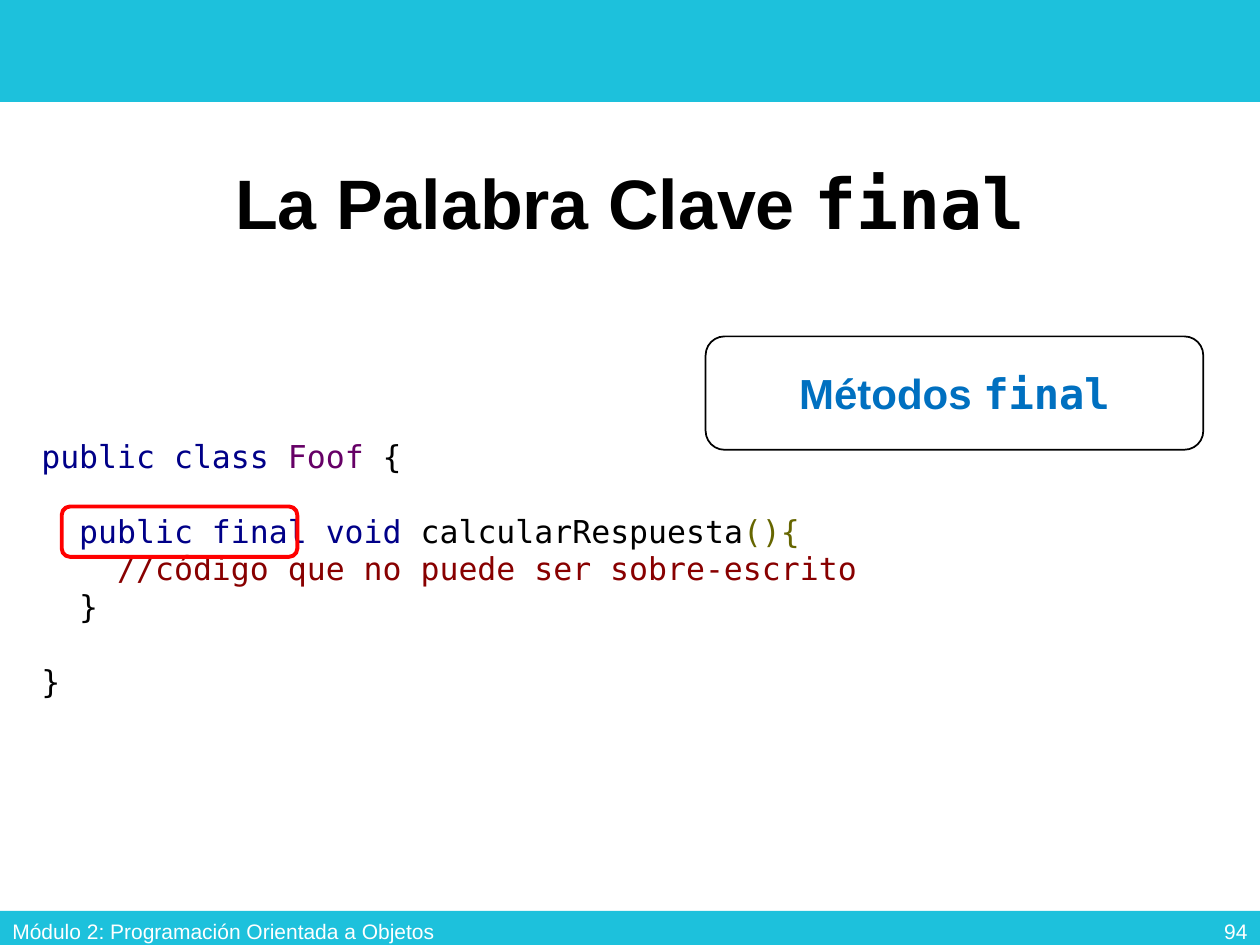
from dataclasses import dataclass

import pptx
import pptx.dml.color
import pptx.enum.shapes
import pptx.enum.text
import pptx.util

Inches = pptx.util.Inches
Pt = pptx.util.Pt
RGBColor = pptx.dml.color.RGBColor
Shapes = pptx.enum.shapes.MSO_SHAPE
Align = pptx.enum.text.PP_ALIGN
Anchor = pptx.enum.text.MSO_ANCHOR

CYAN = RGBColor(0x1D, 0xC1, 0xDC)
BLACK = RGBColor(0, 0, 0)
WHITE = RGBColor(0xFF, 0xFF, 0xFF)
RED = RGBColor(0xFF, 0, 0)
BLUE = RGBColor(0x00, 0x70, 0xC0)
KEYWORD = RGBColor(0, 0, 0x88)
TYPE_NAME = RGBColor(0x66, 0, 0x66)
BRACKET = RGBColor(0x66, 0x66, 0)
REMARK = RGBColor(0x88, 0, 0)

SANS = "Arial"
MONO = "DejaVu Sans Mono"
CODE_SIZE = 18
BLANK_LINE = 21


@dataclass(frozen=True)
class Area:
    left: float
    top: float
    width: float
    height: float

    def lengths(self) -> tuple:
        return tuple(Inches(n) for n in (self.left, self.top, self.width, self.height))


@dataclass(frozen=True)
class Span:
    text: str
    color: RGBColor = BLACK
    font: str = SANS


@dataclass(frozen=True)
class Line:
    spans: tuple
    before: float = 0


def code(text: str, color: RGBColor = BLACK) -> Span:
    return Span(text, color, MONO)


def write(box, lines, *, size, bold=False, align=Align.LEFT, anchor=Anchor.MIDDLE, spacing=1.0):
    frame = box.text_frame
    frame.word_wrap = True
    frame.auto_size = pptx.enum.text.MSO_AUTO_SIZE.NONE
    frame.vertical_anchor = anchor
    for index, line in enumerate(lines):
        para = frame.paragraphs[0] if index == 0 else frame.add_paragraph()
        para.alignment = align
        para.line_spacing = spacing
        para.space_before = Pt(line.before)
        for span in line.spans:
            run = para.add_run()
            run.text = span.text
            run.font.name = span.font
            run.font.size = Pt(size)
            run.font.bold = bold
            run.font.color.rgb = span.color


def add_bar(page, area: Area):
    bar = page.shapes.add_shape(Shapes.RECTANGLE, *area.lengths())
    bar.shadow.inherit = False
    bar.fill.solid()
    bar.fill.fore_color.rgb = CYAN
    bar.line.fill.background()


def add_frame(page, area: Area, color: RGBColor, width: float):
    frame = page.shapes.add_shape(Shapes.ROUNDED_RECTANGLE, *area.lengths())
    frame.shadow.inherit = False
    frame.fill.background()
    frame.line.color.rgb = color
    frame.line.width = Pt(width)
    return frame


def add_text(page, area: Area, lines, **options):
    write(page.shapes.add_textbox(*area.lengths()), lines, **options)


BARS = (Area(0, 0, 10, 0.81), Area(0, 7.23, 10, 0.31))

CODE_LINES = (
    Line((code("public class ", KEYWORD), code("Foof", TYPE_NAME), code(" {"))),
    Line(
        (
            code("  public final void", KEYWORD),
            code(" calcularRespuesta"),
            code("(){", BRACKET),
        ),
        before=BLANK_LINE,
    ),
    Line((code("    //código que no puede ser sobre-escrito", REMARK),)),
    Line((code("  }"),)),
    Line((code("}"),), before=BLANK_LINE),
)

TITLE = Line((Span("La Palabra Clave "), code("final")))
CALLOUT = Line((Span("Métodos ", BLUE), code("final", BLUE)))
PAGE_NUMBER = Line((Span("94", WHITE),))
MODULE = Line((Span("Módulo 2: Programación Orientada a Objetos", WHITE),))


def main():
    deck = pptx.Presentation()
    deck.slide_width = Inches(10)
    deck.slide_height = Inches(7.5)
    page = deck.slides.add_slide(deck.slide_layouts[5])

    for area in BARS:
        add_bar(page, area)
    add_text(page, Area(0.23, 3.42, 8.04, 2.22), CODE_LINES, size=CODE_SIZE, anchor=Anchor.TOP)

    title = page.shapes.title
    title.left, title.top, title.width, title.height = Area(0.69, 0.98, 8.62, 1.33).lengths()
    write(title, [TITLE], size=40, bold=True, align=Align.CENTER, spacing=0.9)

    add_text(page, Area(7.75, 7.19, 2.25, 0.4), [PAGE_NUMBER], size=12, align=Align.RIGHT)
    add_text(page, Area(0, 7.19, 3.86, 0.4), [MODULE], size=12)

    callout = add_frame(page, Area(5.6, 2.67, 3.95, 0.9), BLACK, 1)
    write(callout, [CALLOUT], size=24, bold=True, align=Align.CENTER)
    add_frame(page, Area(0.49, 4.02, 1.87, 0.4), RED, 2.25)

    deck.save("out.pptx")


if __name__ == "__main__":
    main()
